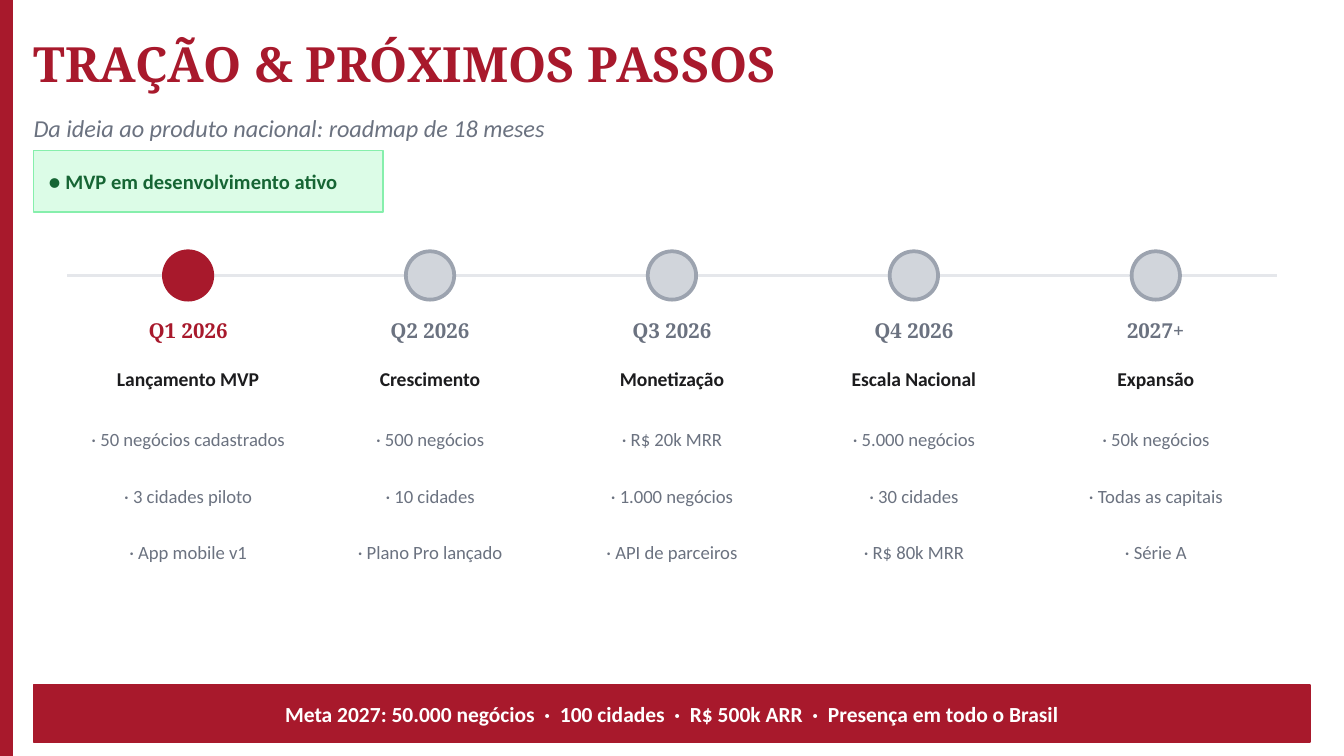
"""Build a roadmap slide with five milestones on a timeline."""
from lxml import etree
from pptx import Presentation
from pptx import util as u
from pptx.dml.color import RGBColor
from pptx.enum import shapes, text
from pptx.oxml.ns import qn

RED, GRAY, INK, WHITE = "A8192C", "6B7280", "1C1C1E", "FFFFFF"
SERIF, SANS = "Noto Serif", "Calibri"
PAGE_WIDTH = 10
PAGE_HEIGHT = PAGE_WIDTH * 9 / 16
LEFT, WIDTH, STEP = 0.25, 9.5, 1.8
START, AXIS, DOT, INSET = 0.5, 2.05, 0.36, 0.05
BULLET_TOP, BULLET_STEP = 3.08, 0.42

MILESTONES = [
    ("Q1 2026", "Lançamento MVP", ["50 negócios cadastrados", "3 cidades piloto", "App mobile v1"]),
    ("Q2 2026", "Crescimento", ["500 negócios", "10 cidades", "Plano Pro lançado"]),
    ("Q3 2026", "Monetização", ["R$ 20k MRR", "1.000 negócios", "API de parceiros"]),
    ("Q4 2026", "Escala Nacional", ["5.000 negócios", "30 cidades", "R$ 80k MRR"]),
    ("2027+", "Expansão", ["50k negócios", "Todas as capitais", "Série A"]),
]


def color(value):
    """Turn a hex string into a colour."""
    return RGBColor.from_string(value)


class Painter:
    """Hold the style and the current slide, and draw each kind of element."""

    def __init__(self, slide, font=SANS):
        """Keep the slide and its default font."""
        self.slide = slide
        self.font = font

    def shape(self, kind, at, fill, line, weight=1):
        """Draw a filled preset shape with an outline."""
        box = self.slide.shapes.add_shape(kind, *map(u.Inches, at))
        box.shadow.inherit = False
        box.fill.solid()
        box.fill.fore_color.rgb = color(fill)
        box.line.color.rgb = color(line)
        box.line.width = u.Pt(weight)

    def label(self, words, at, size, ink, centered=False, **formats):
        """Write one line of text, vertically centred in its box."""
        frame = self.slide.shapes.add_textbox(*map(u.Inches, at)).text_frame
        layout = {"word_wrap": True, "vertical_anchor": text.MSO_ANCHOR.MIDDLE}
        layout.update(dict.fromkeys(("margin_left", "margin_top", "margin_right", "margin_bottom"), 0))
        for name, value in layout.items():
            setattr(frame, name, value)
        para = frame.paragraphs[0]
        para.alignment = text.PP_ALIGN.CENTER if centered else text.PP_ALIGN.LEFT
        span = para.add_run()
        span.text = words
        for name, value in {"name": self.font, "size": u.Pt(size), **formats}.items():
            setattr(span.font, name, value)
        span.font.color.rgb = color(ink)

    def line(self, start, end, ink, weight):
        """Draw a straight line without a shadow."""
        rule = self.slide.shapes.add_connector(
            shapes.MSO_CONNECTOR.STRAIGHT, *map(u.Inches, (*start, *end)))
        rule.line.color.rgb = color(ink)
        rule.line.width = u.Pt(weight)
        etree.SubElement(rule._element.spPr, qn("a:effectLst"))

    def milestone(self, left, period, title, goals, active):
        """Draw one timeline dot with its period, title and goals."""
        fill, edge, ink = (RED, RED, RED) if active else ("D1D5DB", "9CA3AF", GRAY)
        dot = (left + (STEP - DOT) / 2, AXIS - DOT / 2, DOT, DOT)
        self.shape(shapes.MSO_SHAPE.OVAL, dot, fill, edge, 2)
        self.label(period, (left, 2.28, STEP, 0.35), 11, ink, True, name=SERIF, bold=True)
        self.label(title, (left, 2.62, STEP, 0.4), 10.5, INK, True, bold=True)
        for row, goal in enumerate(goals):
            at = (left + INSET, BULLET_TOP + row * BULLET_STEP, STEP - 2 * INSET, 0.38)
            self.label(f"· {goal}", at, 10, GRAY, True)


def main():
    """Compose and save the slide."""
    deck = Presentation()
    deck.slide_width, deck.slide_height = u.Inches(PAGE_WIDTH), u.Inches(PAGE_HEIGHT)
    page = Painter(deck.slides.add_slide(deck.slide_layouts[6]))
    rectangle = shapes.MSO_SHAPE.RECTANGLE

    page.shape(rectangle, (0, 0, 0.09, PAGE_HEIGHT), RED, RED)
    page.label("TRAÇÃO & PRÓXIMOS PASSOS", (LEFT, 0.18, WIDTH, 0.58), 26, RED, name=SERIF, bold=True)
    page.label("Da ideia ao produto nacional: roadmap de 18 meses",
               (LEFT, 0.78, WIDTH, 0.34), 13, GRAY, italic=True)
    page.shape(rectangle, (LEFT, 1.12, 2.6, 0.46), "DCFCE7", "86EFAC")
    page.label("● MVP em desenvolvimento ativo", (0.36, 1.17, 2.4, 0.36), 11, "166534", bold=True)

    page.line((START, AXIS), (START + STEP * len(MILESTONES), AXIS), "E5E7EB", 2)
    for index, (period, title, goals) in enumerate(MILESTONES):
        page.milestone(START + index * STEP, period, title, goals, active=index == 0)

    page.shape(rectangle, (LEFT, 5.1, WIDTH, 0.42), RED, RED)
    page.label("Meta 2027: 50.000 negócios  ·  100 cidades  ·  R$ 500k ARR  ·  Presença em todo o Brasil",
               (0.35, 5.16, 9.3, 0.3), 11.5, WHITE, True, bold=True)
    deck.save("out.pptx")


if __name__ == "__main__":
    main()
